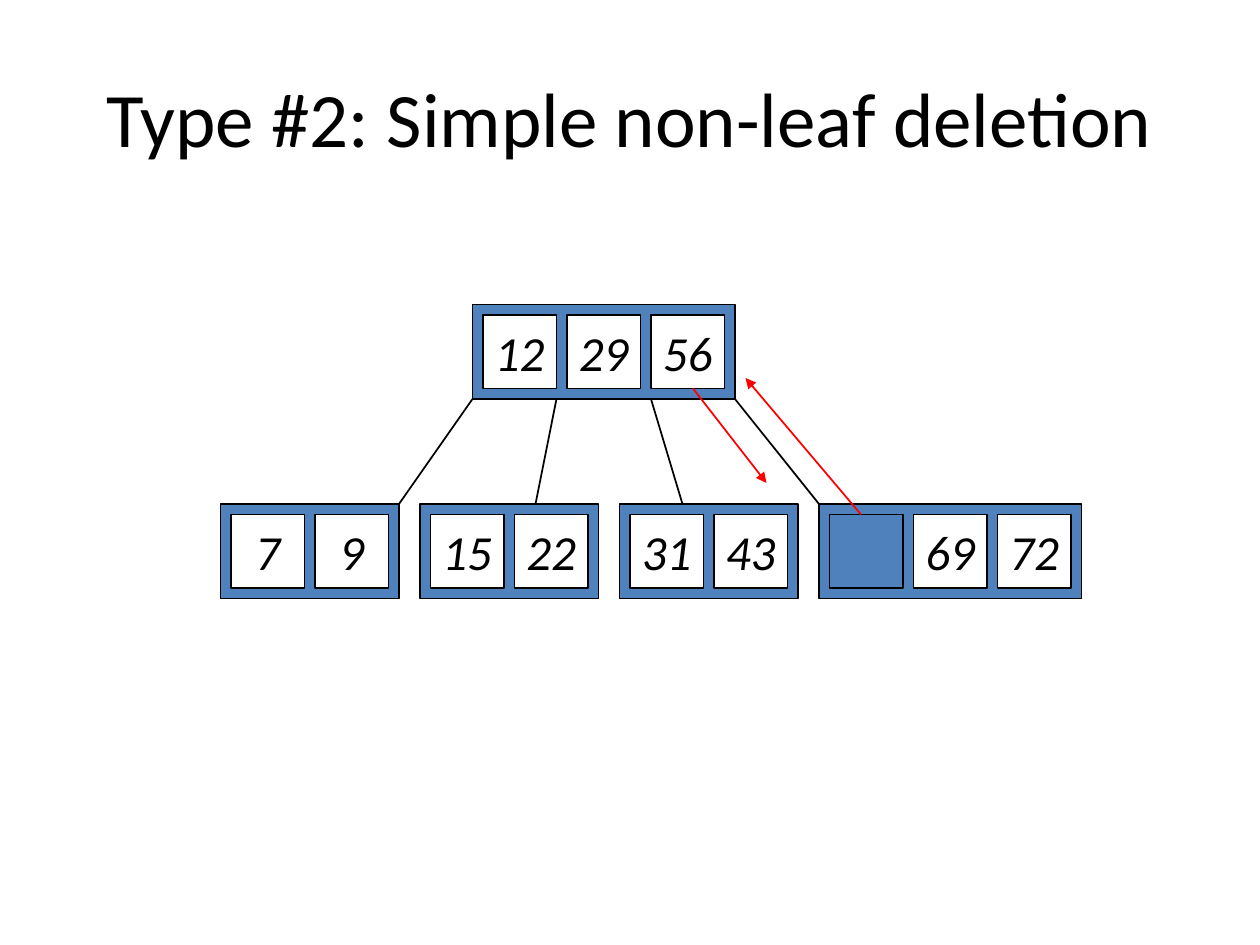
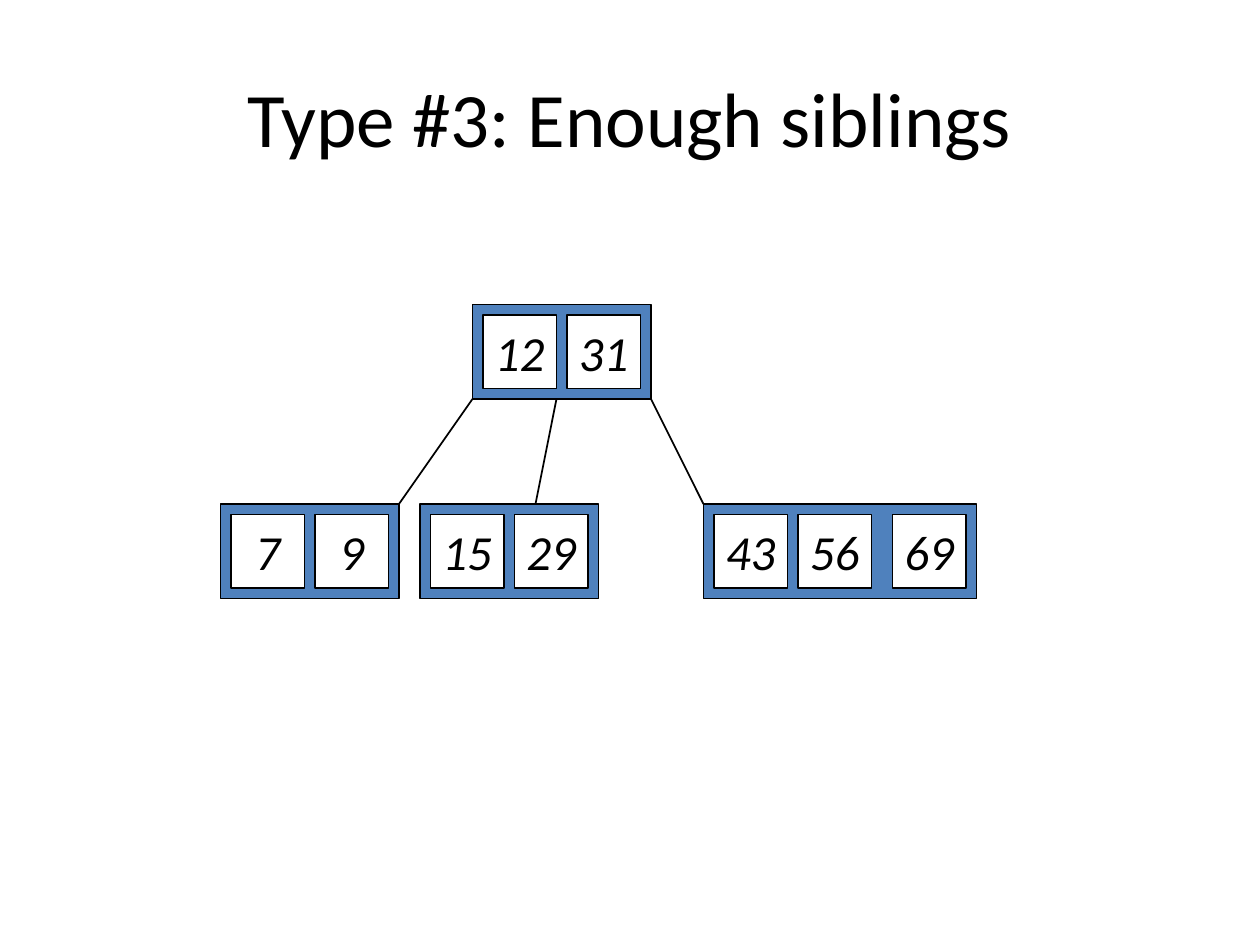
from lxml import etree
from pptx import Presentation
from pptx.dml.color import RGBColor
from pptx.enum.shapes import MSO_CONNECTOR, MSO_SHAPE
from pptx.enum.text import MSO_ANCHOR, PP_ALIGN
from pptx.oxml.ns import qn
from pptx.util import Inches, Pt

RECT, LINE = MSO_SHAPE.RECTANGLE, MSO_CONNECTOR.STRAIGHT
MIDDLE, CENTER = MSO_ANCHOR.MIDDLE, PP_ALIGN.CENTER
BLACK, WHITE, BLUE, RED = "000000", "FFFFFF", "4F81BD", "FF0000"
FONT = "Calibri"

# Tree layout, in grid units of a twelfth of an inch
CELL, GAP = 7, 1
TALL = CELL + 2 * GAP
ROOT_X, ROOT_Y, LEAF_Y = 45, 29, 48


def color(code):
    return RGBColor.from_string(code)


def grid(units):
    return Inches(units / 12)


def write(shape, text, size, italic=False):
    frame = shape.text_frame
    frame.vertical_anchor = MIDDLE
    para = frame.paragraphs[0]
    para.text = text
    para.alignment = CENTER
    font = para.font
    font.name, font.size, font.italic = FONT, Pt(size), italic
    font.color.rgb = color(BLACK)
    return frame


def add_title(slide, text):
    box = slide.shapes.add_textbox(Inches(0.5), Inches(0.3), Inches(9), Inches(1.25))
    write(box, text, 44).word_wrap = True


def add_rect(slide, x, y, wide, high, fill):
    rect = slide.shapes.add_shape(RECT, grid(x), grid(y), grid(wide), grid(high))
    rect.shadow.inherit = False
    rect.fill.solid()
    rect.fill.fore_color.rgb = color(fill)
    rect.line.color.rgb = color(BLACK)
    rect.line.width = Pt(1)
    return rect


def add_node(slide, x, y, keys, extra=0):
    """Draw a row of keys; extra widens the gap before the last one.
    A key of None is an emptied cell."""
    count = len(keys)
    add_rect(slide, x, y, count * (CELL + GAP) + GAP + extra, TALL, BLUE)
    for i, key in enumerate(keys):
        left = x + GAP + i * (CELL + GAP) + (extra if i == count - 1 else 0)
        cell = add_rect(slide, left, y + GAP, CELL, CELL, BLUE if key is None else WHITE)
        if key is not None:
            write(cell, str(key), 28, True).word_wrap = False


def add_line(slide, start, end, code=BLACK, arrow=False):
    line = slide.shapes.add_connector(LINE, *map(grid, start + end))
    line.line.color.rgb = color(code)
    line.line.width = Pt(1)
    props = line._element.spPr
    if arrow:
        tip = etree.SubElement(props.find(qn("a:ln")), qn("a:tailEnd"))
        tip.set("type", "triangle")
    etree.SubElement(props, qn("a:effectLst"))


def add_tree(slide, root, leaves, links):
    """Leaves are (x, keys, extra gap); links are (root x, leaf x)."""
    add_node(slide, ROOT_X, ROOT_Y, root)
    for x, keys, extra in leaves:
        add_node(slide, x, LEAF_Y, keys, extra)
    for top, foot in links:
        add_line(slide, (top, ROOT_Y + TALL), (foot, LEAF_Y))


deck = Presentation()
deck.slide_width, deck.slide_height = Inches(10), Inches(7.5)
blank = deck.slide_layouts[6]

# Non-leaf deletion, with the two keys that swap places
slide = deck.slides.add_slide(blank)
add_title(slide, "Type #2: Simple non-leaf deletion")
add_tree(slide, [12, 29, 56],
         [(21, [7, 9], 0), (40, [15, 22], 0), (59, [31, 43], 0), (78, [None, 69, 72], 0)],
         [(45, 38), (53, 51), (62, 65), (70, 78)])
add_line(slide, (66, 37), (73, 46), RED, True)
add_line(slide, (82, 49), (71, 36), RED, True)

# Result of borrowing from a sibling
slide = deck.slides.add_slide(blank)
add_title(slide, "Type #3: Enough siblings")
add_tree(slide, [12, 31],
         [(21, [7, 9], 0), (40, [15, 29], 0), (67, [43, 56, 69], 1)],
         [(45, 38), (53, 51), (62, 67)])

deck.save("out.pptx")
